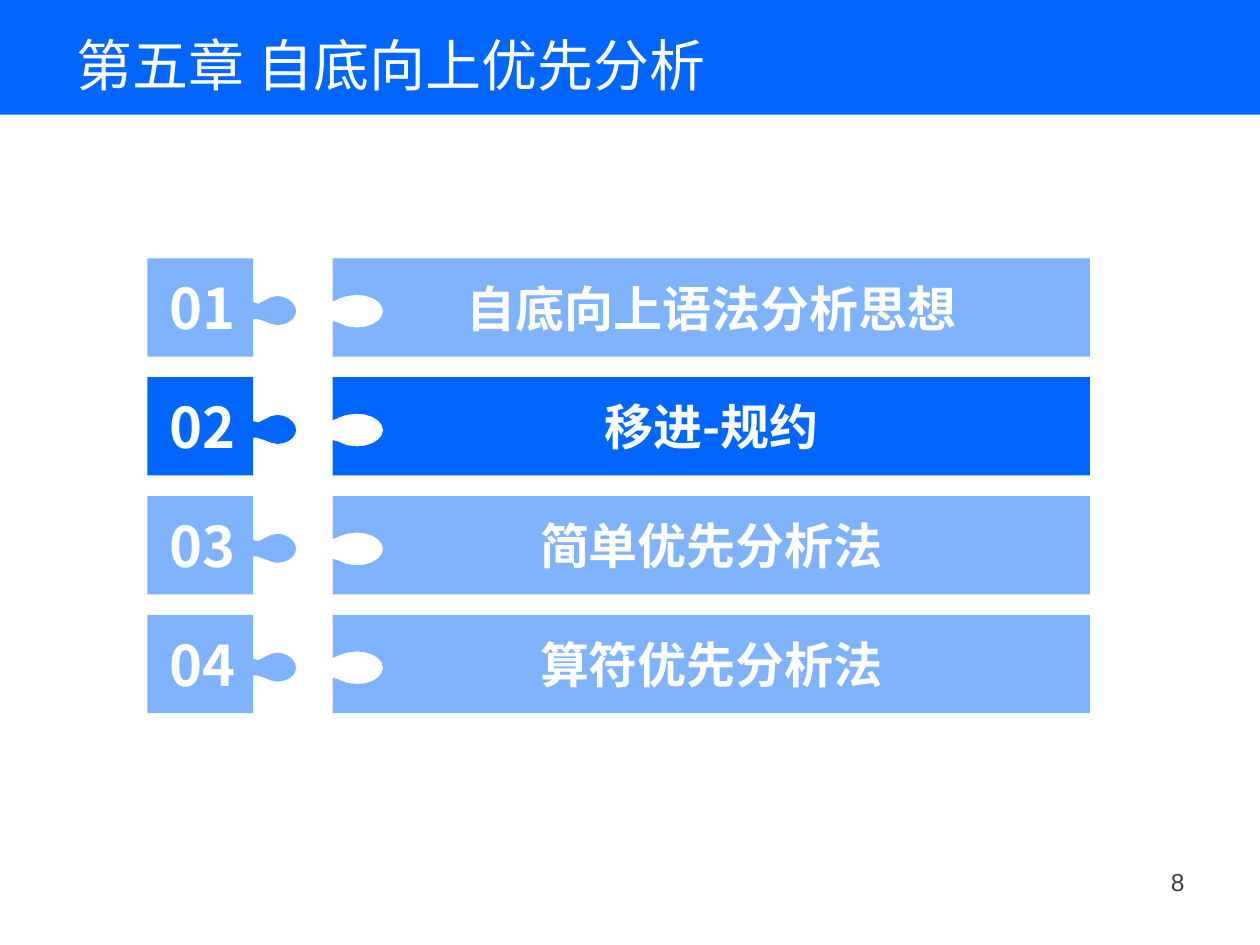
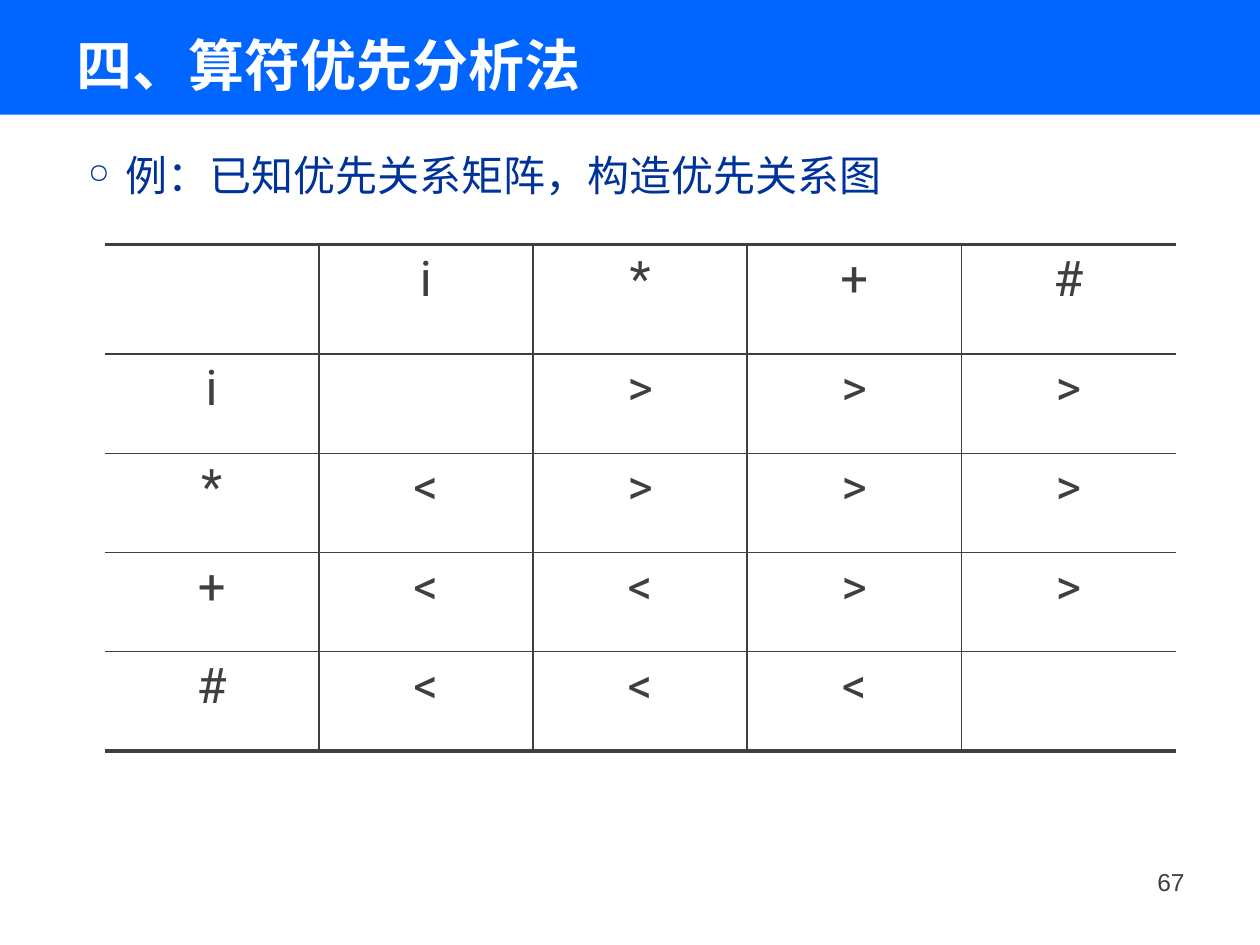
from lxml.etree import SubElement
from pptx import Presentation
from pptx.dml.color import RGBColor
from pptx.enum.lang import MSO_LANGUAGE_ID
from pptx.enum.shapes import MSO_SHAPE
from pptx.enum.text import MSO_ANCHOR, PP_ALIGN
from pptx.oxml import parse_xml
from pptx.oxml.ns import nsdecls, qn
from pptx.util import Inches, Pt

BLUE = RGBColor(0x00, 0x66, 0xFF)
PALE_BLUE = RGBColor(0x80, 0xB3, 0xFF)
NAVY = RGBColor(0x00, 0x33, 0x99)
GRAY = RGBColor(0x3F, 0x3F, 0x3F)
WHITE = RGBColor(0xFF, 0xFF, 0xFF)

CJK = "Noto Sans CJK SC"

KNOB = [
    (2.2, 0.3), (2.15, 0.31), (2.11, 0.33), (2.09, 0.34), (2.05, 0.36), (2.01, 0.35),
    (2.01, 0), (1.17, 0), (1.17, 0.78), (2.01, 0.78), (2.01, 0.48),
    (2.04, 0.48), (2.1, 0.5), (2.15, 0.52), (2.2, 0.53),
    (2.28, 0.53, 2.35, 0.48, 2.35, 0.42),
    (2.35, 0.36, 2.28, 0.3, 2.2, 0.3),
]
SOCKET = [
    (2.64, 0), (2.64, 0.34), (2.67, 0.33), (2.69, 0.32), (2.75, 0.3), (2.83, 0.29),
    (2.95, 0.29, 3.04, 0.35, 3.04, 0.42),
    (3.04, 0.49, 2.95, 0.55, 2.83, 0.55),
    (2.75, 0.54), (2.68, 0.51), (2.64, 0.5),
    (2.64, 0.78), (8.65, 0.78), (8.65, 0),
]


def flatten(outline, steps=5):
    points = [outline[0]]
    for segment in outline[1:]:
        if len(segment) == 2:
            points.append(segment)
            continue
        start = points[-1]
        controls = [start, segment[:2], segment[2:4], segment[4:]]
        for step in range(1, steps + 1):
            t = step / steps
            weights = ((1 - t) ** 3, 3 * t * (1 - t) ** 2, 3 * t**2 * (1 - t), t**3)
            points.append(tuple(
                sum(w * c[axis] for w, c in zip(weights, controls)) for axis in (0, 1)
            ))
    return points


def set_text(tf, text, size, color, font="Arial", bold=False,
             align=PP_ALIGN.LEFT, anchor=MSO_ANCHOR.TOP):
    tf.word_wrap = True
    tf.vertical_anchor = anchor
    p = tf.paragraphs[0]
    p.alignment = align
    r = p.add_run()
    r.text = text
    r.font.size = Pt(size)
    r.font.bold = bold
    r.font.color.rgb = color
    r.font.name = font
    r.font.language_id = MSO_LANGUAGE_ID.SIMPLIFIED_CHINESE
    SubElement(r.font._element, qn("a:ea")).set("typeface", CJK)
    return p


class Deck:
    def __init__(self):
        self.prs = Presentation()
        self.prs.slide_width = Inches(10)
        self.prs.slide_height = Inches(7.5)
        self.s = None

    def slide(self, title, number, bold=False):
        self.s = self.prs.slides.add_slide(self.prs.slide_layouts[6])
        band = self.s.shapes.add_shape(MSO_SHAPE.RECTANGLE, 0, 0, Inches(10), Inches(0.91))
        self.paint(band, BLUE)
        self.text(0.51, 0.12, 8.99, 0.78, title, size=32, color=WHITE, bold=bold,
                  anchor=MSO_ANCHOR.MIDDLE)
        self.text(7.17, 6.83, 2.33, 0.52, str(number), size=14, color=GRAY,
                  align=PP_ALIGN.RIGHT)

    def paint(self, sp, color):
        sp.shadow.inherit = False
        sp.fill.solid()
        sp.fill.fore_color.rgb = color
        sp.line.fill.background()

    def text(self, x, y, w, h, text, **style):
        box = self.s.shapes.add_textbox(Inches(x), Inches(y), Inches(w), Inches(h))
        return set_text(box.text_frame, text, **style)

    def bullet(self, x, y, w, h, text, **style):
        p = self.text(x, y, w, h, text, **style)
        pPr = p._p.get_or_add_pPr()
        pPr.set("marL", str(Inches(0.39)))
        pPr.set("indent", str(Inches(-0.3)))
        color = SubElement(pPr, qn("a:buClr"))
        SubElement(color, qn("a:srgbClr")).set("val", str(style["color"]))
        SubElement(pPr, qn("a:buSzPct")).set("val", "65000")
        SubElement(pPr, qn("a:buChar")).set("char", "○")

    def puzzle_piece(self, outline, top, color, text, size, right_inset=0.1, left_inset=0.1):
        points = [(Inches(x), Inches(top + y)) for x, y in flatten(outline)]
        builder = self.s.shapes.build_freeform(*points[0])
        builder.add_line_segments(points[1:], close=True)
        sp = builder.convert_to_shape()
        self.paint(sp, color)
        tf = sp.text_frame
        tf.margin_left = Inches(left_inset)
        tf.margin_right = Inches(right_inset)
        set_text(tf, text, size=size, color=WHITE, font=CJK, bold=True,
                 align=PP_ALIGN.CENTER, anchor=MSO_ANCHOR.MIDDLE)

    def borders(self, cell, widths):
        tcPr = cell._tc.get_or_add_tcPr()
        for index, (side, width) in enumerate(zip("LRTB", widths)):
            fill = f'<a:solidFill><a:srgbClr val="{GRAY}"/></a:solidFill>' if width else "<a:noFill/>"
            tcPr.insert(index, parse_xml(
                f'<a:ln{side} {nsdecls("a")} w="{Pt(width)}">{fill}</a:ln{side}>'))

    def matrix(self, x, y, w, row_heights, rows):
        last_row, last_col = len(rows) - 1, len(rows[0]) - 1
        frame = self.s.shapes.add_table(len(rows), len(rows[0]), Inches(x), Inches(y),
                                        Inches(w), Inches(sum(row_heights)))
        table = frame.table
        table.first_row = table.horz_banding = False
        for i, (height, values) in enumerate(zip(row_heights, rows)):
            table.rows[i].height = Inches(height)
            for j, value in enumerate(values):
                cell = table.cell(i, j)
                cell.fill.background()
                self.borders(cell, (
                    1 if j > 0 else 0,
                    1 if j < last_col else 0,
                    1 if i > 0 else 2.25,
                    1 if i < last_row else 2.25,
                ))
                if value:
                    set_text(cell.text_frame, value, size=28, color=GRAY, font="Roboto",
                             align=PP_ALIGN.CENTER)


def chapter_slide(deck):
    deck.slide("第五章 自底向上优先分析", 8)
    topics = ["自底向上语法分析思想", "移进-规约", "简单优先分析法", "算符优先分析法"]
    current = 1
    first_top, last_top = 2.05, 4.88
    pitch = (last_top - first_top) / (len(topics) - 1)
    for i, topic in enumerate(topics):
        top = first_top + i * pitch
        color = BLUE if i == current else PALE_BLUE
        deck.puzzle_piece(KNOB, top, color, f"{i + 1:02}", 32, right_inset=0.31, left_inset=0)
        deck.puzzle_piece(SOCKET, top, color, topic, 28)


def precedence_slide(deck):
    deck.slide("四、算符优先分析法", 67, bold=True)
    deck.bullet(0.51, 1.14, 8.99, 5.59, "例：已知优先关系矩阵，构造优先关系图",
                size=24, color=NAVY)
    symbols = "i*+#"
    relations = [["", ">", ">", ">"], ["<", ">", ">", ">"],
                 ["<", "<", ">", ">"], ["<", "<", "<", ""]]
    rows = [["", *symbols]] + [[symbol, *row] for symbol, row in zip(symbols, relations)]
    header_height = 0.87
    row_height = (4.02 - header_height) / len(symbols)
    deck.matrix(0.83, 1.94, 8.5, [header_height] + [row_height] * len(symbols), rows)


def main():
    deck = Deck()
    chapter_slide(deck)
    precedence_slide(deck)
    deck.prs.save("out.pptx")


if __name__ == "__main__":
    main()
